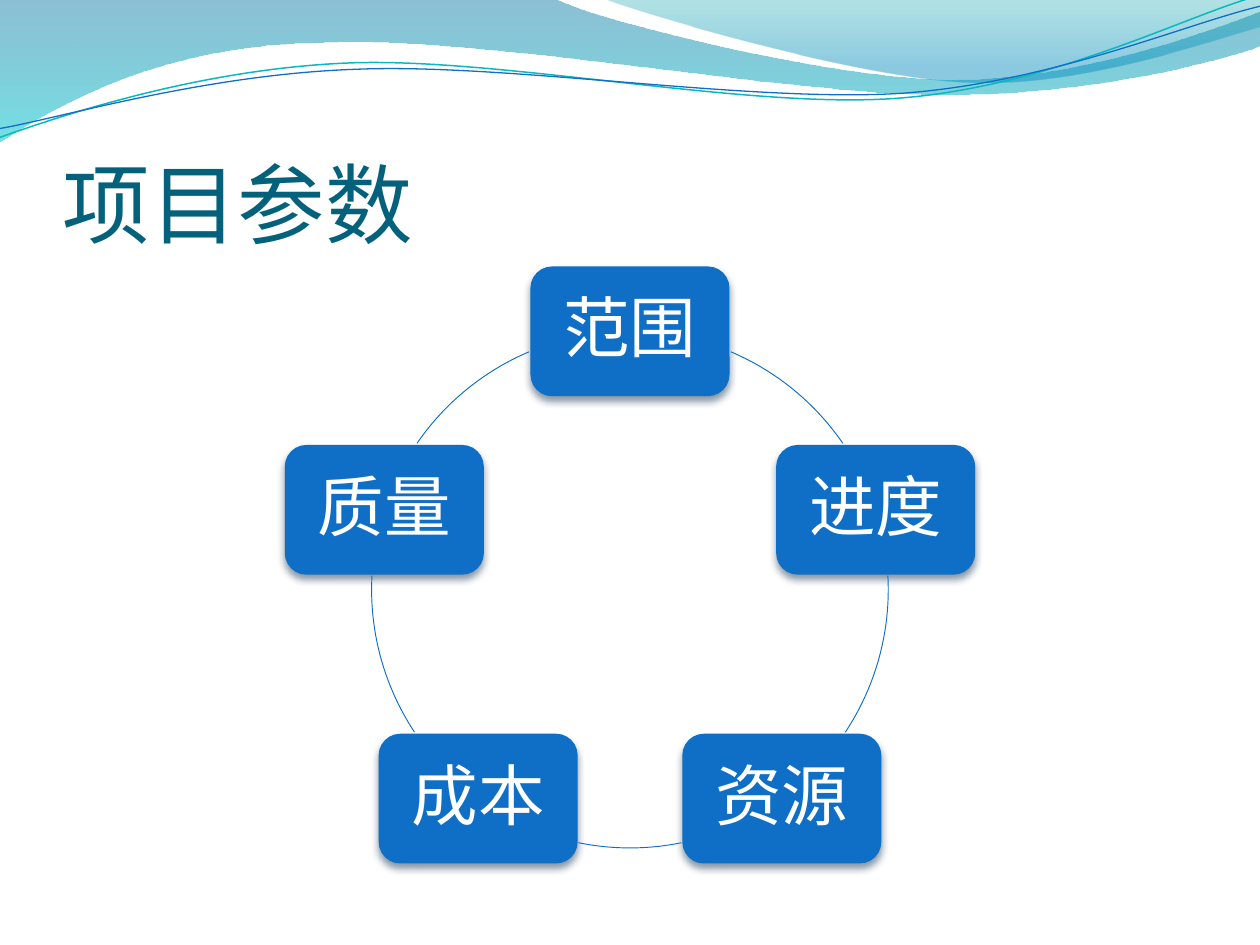
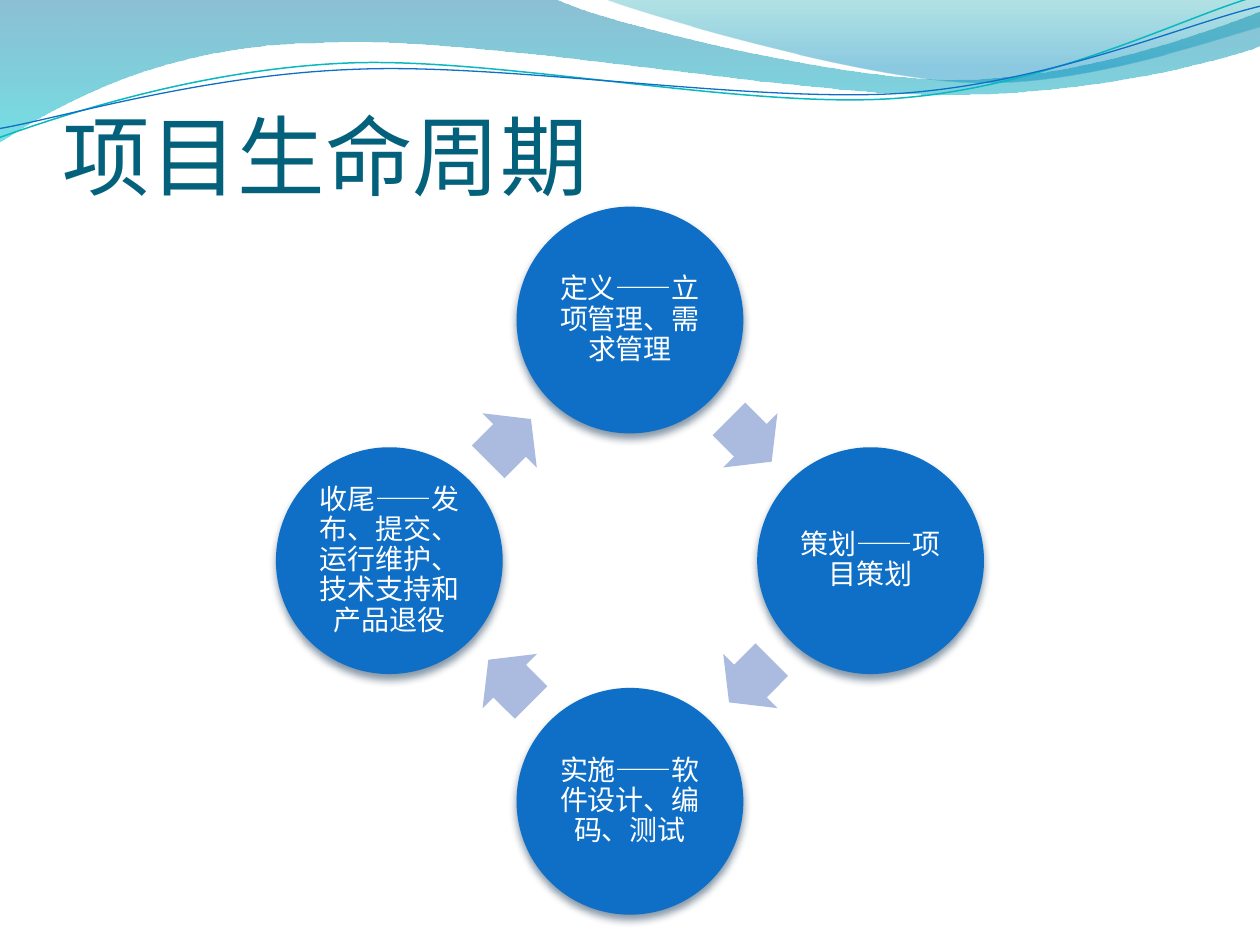
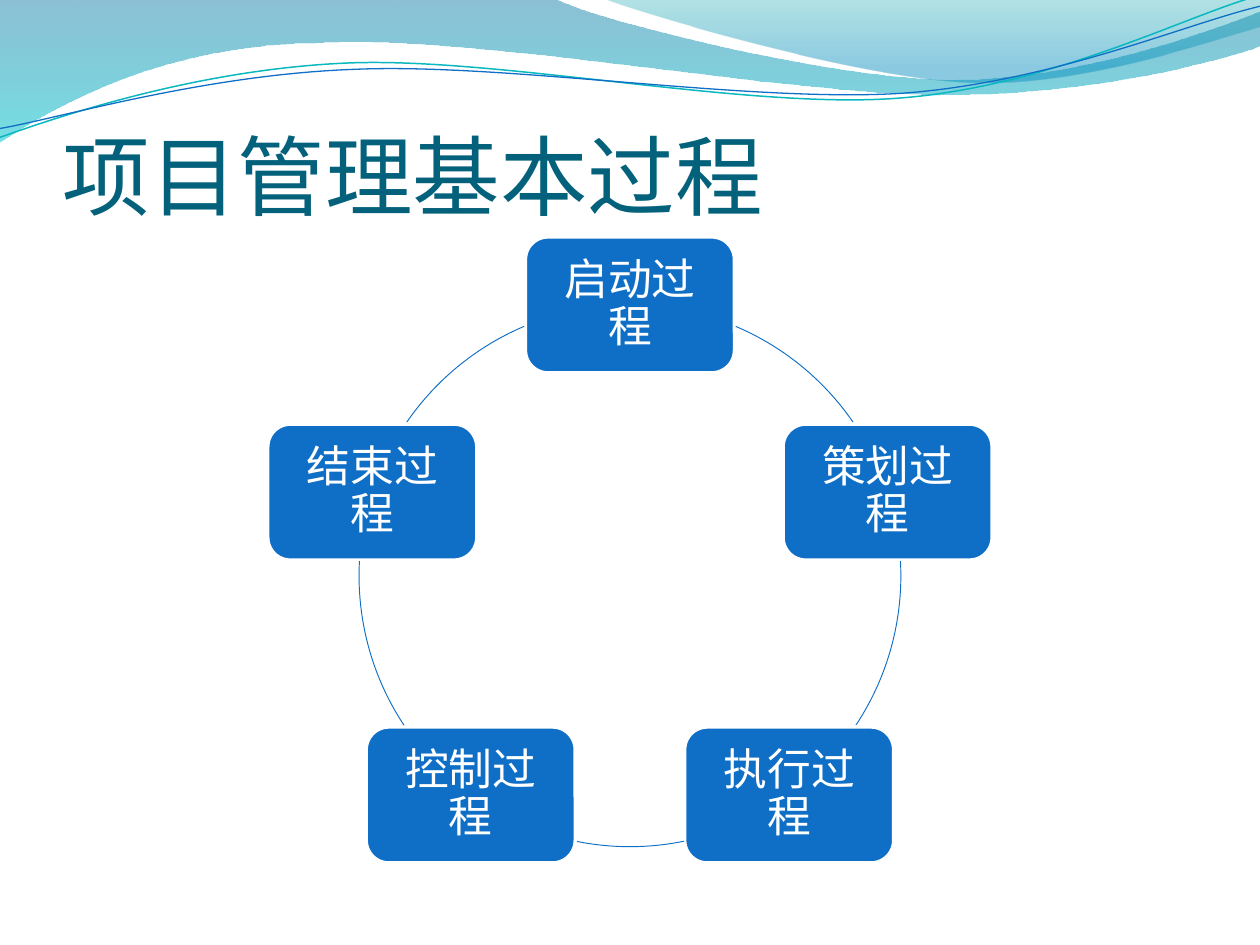
import math

import lxml.etree
import pptx
import pptx.dml.color
import pptx.enum.shapes
import pptx.enum.text
import pptx.oxml.ns
import pptx.util

Inches, Pt = pptx.util.Inches, pptx.util.Pt
RGBColor = pptx.dml.color.RGBColor
SHAPE = pptx.enum.shapes.MSO_SHAPE
ANCHOR = pptx.enum.text.MSO_ANCHOR
ALIGN = pptx.enum.text.PP_ALIGN
qn = pptx.oxml.ns.qn

# Shared colours and fonts
BLUE = RGBColor(0x0F, 0x6F, 0xC6)
TEAL = RGBColor(0x0A, 0xB8, 0xBF)
TITLE = RGBColor(0x04, 0x61, 0x7B)
ARROW = RGBColor(0xAB, 0xBB, 0xDF)
WHITE = RGBColor(0xFF, 0xFF, 0xFF)
SHADOW = RGBColor(0x04, 0x27, 0x47)
TITLE_FONT, BODY_FONT = "Calibri", "Vollkorn"

# Wave outlines: a pair is a corner, six numbers are a Bezier curve.
# Gradient stops: position, colour, opacity in percent.
BANDS = [
    ([(0, -0.01), (4.4, -0.01), (4.76, 0.17, 6.64, 0.63, 7.58, 0.63),
      (8.53, 0.63, 9.58, 0.26, 10, 0.09), (10.01, 0.36),
      (9.83, 0.44, 8.7, 0.76, 7.46, 0.75), (6.22, 0.75, 3.82, 0.28, 2.57, 0.34),
      (1.29, 0.35, 0.46, 0.83, -0.01, 1.13), (0, -0.01)],
     [(0, RGBColor(0x00, 0x74, 0xA1), 45), (1, RGBColor(0x00, 0xC6, 0xCF), 55)]),
    ([(4.79, -0.01), (5.09, 0.11, 6.82, 0.62, 7.69, 0.65),
      (8.56, 0.69, 9.61, 0.32, 10, 0.21), (10, 0), (4.79, -0.01)],
     [(0, RGBColor(0x00, 0xA1, 0xA9), 30), (0.8, RGBColor(0x00, 0x8B, 0xBF), 45)]),
]
WAVE_LINES = [
    ([(0, 1.09), (0.48, 0.92, 1.57, 0.55, 2.76, 0.5),
      (3.95, 0.45, 5.92, 0.87, 7.12, 0.78), (8.33, 0.69, 9.38, 0.14, 9.97, -0.03)],
     TEAL, 0.85),
    ([(0, 1.02), (0.47, 0.94, 1.63, 0.59, 2.83, 0.55),
      (4.02, 0.5, 5.97, 0.82, 7.17, 0.74), (8.36, 0.65, 9.41, 0.19, 10, 0.05)],
     BLUE, 0.75),
]

# Slides: every diagram is a ring of nodes, clockwise from the top
SLIDES = [
    dict(title="项目参数", title_height=1.25, center=(5, 4.68), radius=2.05,
         node=(SHAPE.ROUNDED_RECTANGLE, 1.58, 1.03), shadow=True, inset=0.16, size=38,
         links="arcs", labels=["范围", "进度", "资源", "成本", "质量"]),
    dict(title="项目生命周期", title_height=0.87, center=(5, 4.45), radius=1.91,
         node=(SHAPE.OVAL, 1.8, 1.8), shadow=True, inset=0.02, size=16, links="arrows",
         labels=["定义——立项管理、需求管理", "策划——项目策划",
                 "实施——软件设计、编码、测试",
                 "收尾——发布、提交、运行维护、技术支持和产品退役"]),
    dict(title="项目管理基本过程", title_height=1.03, center=(5, 4.57), radius=2.15,
         node=(SHAPE.ROUNDED_RECTANGLE, 1.66, 1.08), shadow=False, inset=0.1, size=25,
         links="arcs", labels=["启动过程", "策划过程", "执行过程", "控制过程", "结束过程"]),
]

# Visible arcs between five boxes, in degrees clockwise from the top
RIGHT_ARCS = [(23, 55.5), (86.9, 123.5)]
ARCS = RIGHT_ARCS + [(168.5, 191.5)] + [(360 - b, 360 - a) for a, b in RIGHT_ARCS]


def add_outline(s, outline, close):
    """Draw straight sides first, then bend those that are curves."""
    ends = [(Inches(part[-2]), Inches(part[-1])) for part in outline]
    builder = s.shapes.build_freeform(*ends[0])
    builder.add_line_segments(ends[1:], close=close)
    sp = builder.convert_to_shape()
    sp.shadow.inherit = False
    sides = list(sp._element.iter(qn("a:lnTo")))
    for side, part in zip(sides, outline[1:]):
        if len(part) == 6:
            curve = lxml.etree.Element(qn("a:cubicBezTo"))
            for x, y in zip(part[::2], part[1::2]):
                lxml.etree.SubElement(curve, qn("a:pt"), x=str(Inches(x) - sp.left),
                                      y=str(Inches(y) - sp.top))
            side.getparent().replace(side, curve)
    return sp


def set_line(sp, color, width):
    sp.line.color.rgb = color
    sp.line.width = Pt(width)


def set_alpha(color_element, percent):
    lxml.etree.SubElement(color_element, qn("a:alpha"), val=str(percent * 1000))


def add_waves(s):
    for outline, stops in BANDS:
        sp = add_outline(s, outline, True)
        sp.line.fill.background()
        sp.fill.gradient()
        sp.fill.gradient_angle = 270
        for stop, (position, color, _) in zip(sp.fill.gradient_stops, stops):
            stop.position = position
            stop.color.rgb = color
        for element, (_, _, opacity) in zip(sp._element.iter(qn("a:srgbClr")), stops):
            set_alpha(element, opacity)
    for outline, color, width in WAVE_LINES:
        sp = add_outline(s, outline, False)
        sp.fill.background()
        set_line(sp, color, width)


def add_title(s, text, height):
    tf = s.shapes.add_textbox(Inches(0.5), Inches(0.77), Inches(9), Inches(height)).text_frame
    tf.word_wrap = True
    tf.vertical_anchor = ANCHOR.BOTTOM
    tf.margin_left = tf.margin_right = tf.margin_bottom = 0
    tf.margin_top = Inches(0.05)
    p = tf.paragraphs[0]
    p.text = text
    pPr = p._p.get_or_add_pPr()
    pPr.set("marL", str(Inches(0.38)))
    pPr.set("indent", str(-Inches(0.38)))
    p.font.name, p.font.size, p.font.color.rgb = TITLE_FONT, Pt(50), TITLE


def add_centered(s, kind, x, y, w, h):
    sp = s.shapes.add_shape(kind, Inches(x - w / 2), Inches(y - h / 2), Inches(w), Inches(h))
    sp.shadow.inherit = False
    return sp


def add_shadow(sp):
    effects = sp._element.spPr.find(qn("a:effectLst"))
    outer = lxml.etree.SubElement(effects, qn("a:outerShdw"), blurRad=str(Pt(4.5)),
                                  dist=str(Pt(3)), dir="5400000", rotWithShape="0")
    set_alpha(lxml.etree.SubElement(outer, qn("a:srgbClr"), val=str(SHADOW)), 48)


def add_node(s, text, x, y, spec):
    kind, w, h = spec["node"]
    sp = add_centered(s, kind, x, y, w, h)
    sp.fill.solid()
    sp.fill.fore_color.rgb = BLUE
    if spec["shadow"]:
        sp.line.fill.background()
        add_shadow(sp)
    else:
        set_line(sp, WHITE, 2)
    tf = sp.text_frame
    tf.word_wrap = True
    tf.vertical_anchor = ANCHOR.MIDDLE
    tf.margin_left = tf.margin_top = tf.margin_right = tf.margin_bottom = Inches(spec["inset"])
    p = tf.paragraphs[0]
    p.text = text
    p.alignment = ALIGN.CENTER
    p.line_spacing = 0.9
    after = lxml.etree.SubElement(p._p.get_or_add_pPr(), qn("a:spcAft"))
    lxml.etree.SubElement(after, qn("a:spcPct"), val="35000")
    p.font.name, p.font.size, p.font.color.rgb = BODY_FONT, Pt(spec["size"]), WHITE


def add_arc(s, spec, angles):
    sp = add_centered(s, SHAPE.ARC, *spec["center"], 2 * spec["radius"], 2 * spec["radius"])
    sp.fill.background()
    set_line(sp, BLUE, 0.55)
    # The preset counts 60000ths of a degree from the right-hand side
    for i, angle in enumerate(angles):
        sp.adjustments[i] = (angle - 90) % 360 * 0.6


def add_arrow(s, start, end, rotation):
    x, y = [(a + b) / 2 for a, b in zip(start, end)]
    sp = add_centered(s, SHAPE.RIGHT_ARROW, x, y, 0.48, 0.61)
    sp.rotation = rotation
    sp.adjustments[0], sp.adjustments[1] = 0.6, 0.5
    sp.fill.solid()
    sp.fill.fore_color.rgb = ARROW
    sp.line.fill.background()


def add_ring(s, spec):
    (cx, cy), radius, labels = spec["center"], spec["radius"], spec["labels"]
    turns = [2 * math.pi * i / len(labels) for i in range(len(labels))]
    centers = [(cx + radius * math.sin(t), cy - radius * math.cos(t)) for t in turns]
    for i, (text, center) in enumerate(zip(labels, centers)):
        add_node(s, text, *center, spec)
        if spec["links"] == "arcs":
            add_arc(s, spec, ARCS[i])
        else:
            add_arrow(s, center, centers[(i + 1) % len(centers)], 45 + 90 * i)


def main():
    prs = pptx.Presentation()
    prs.slide_width, prs.slide_height = Inches(10), Inches(7.5)
    for spec in SLIDES:
        s = prs.slides.add_slide(prs.slide_layouts[6])
        add_waves(s)
        add_title(s, spec["title"], spec["title_height"])
        add_ring(s, spec)
    prs.save("out.pptx")


if __name__ == "__main__":
    main()
